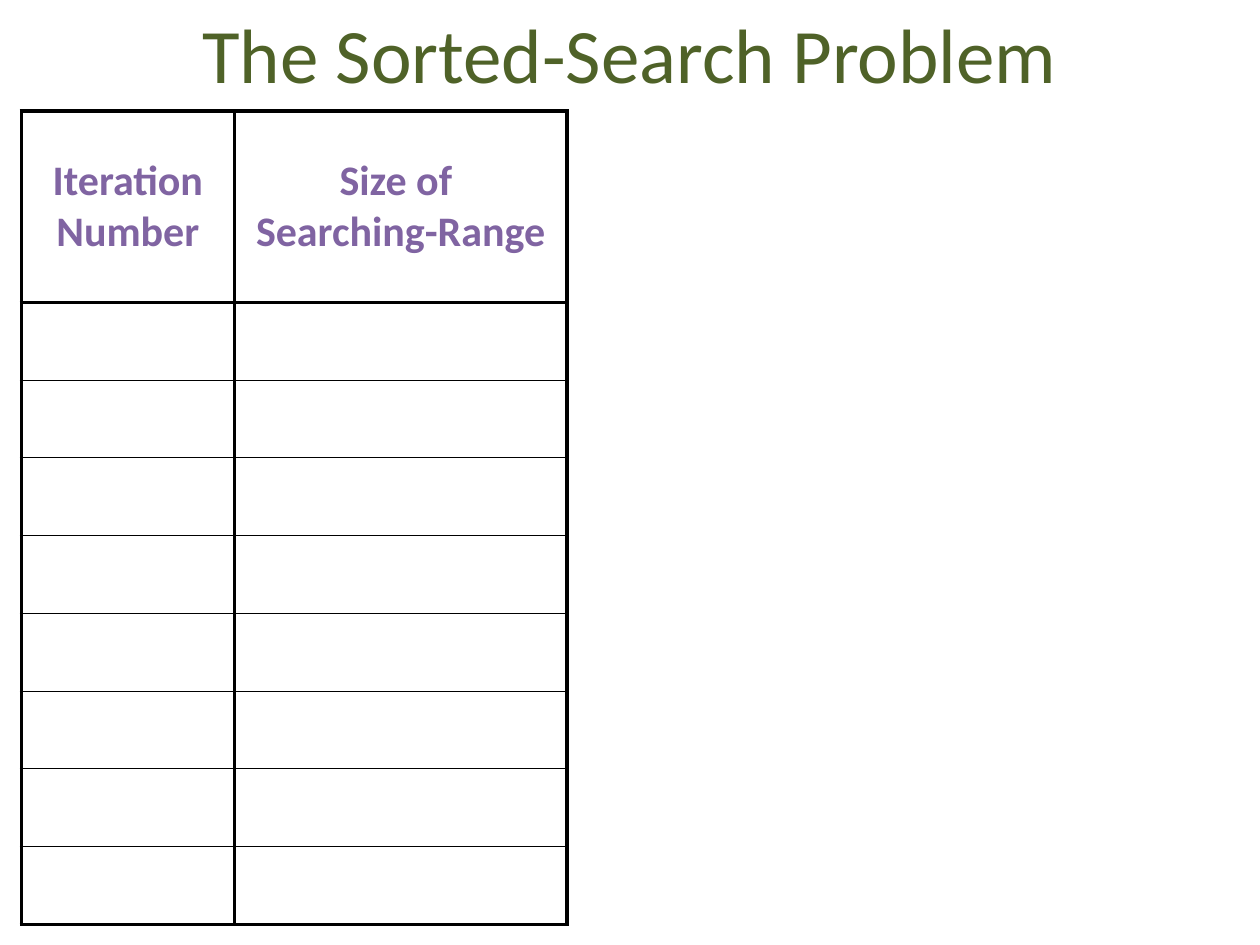
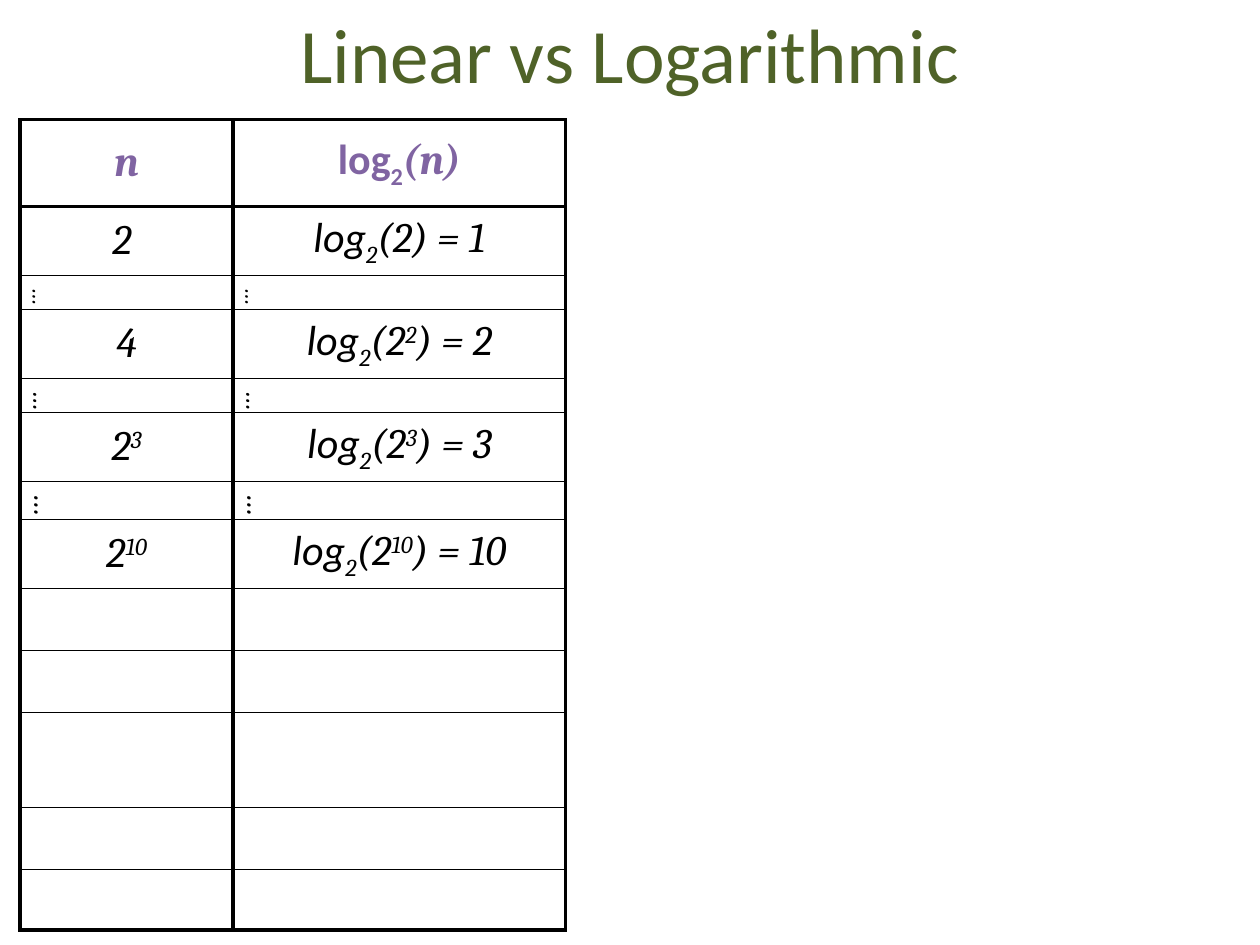
from dataclasses import dataclass

from lxml.etree import SubElement
from pptx import Presentation
from pptx.dml.color import RGBColor
from pptx.enum.text import MSO_ANCHOR, PP_ALIGN
from pptx.oxml.ns import qn
from pptx.util import Inches, Pt


@dataclass(frozen=True)
class Theme:
    title_color: str = "4F6228"
    header_color: str = "8064A2"
    text_color: str = "000000"
    line_color: str = "000000"
    text_font: str = "Calibri"
    math_font: str = "Cambria"
    title_size: float = 44
    cell_size: float = 24
    thick_line: float = 2.25
    thin_line: float = 0.5
    subscript: int = -25
    superscript: int = 30


@dataclass(frozen=True)
class Piece:
    """A stretch of cell text with one typeface and baseline."""
    text: str
    font: str
    italic: bool = True
    baseline: int = 0


@dataclass(frozen=True)
class Entry:
    """The content of one table cell."""
    pieces: tuple
    size: float
    vertical: bool = False


THEME = Theme()
GRID_COLUMNS, GRID_ROWS = 100, 75
TABLE_COLUMNS = (16.9, 26.4)


class Deck:
    def __init__(self, theme):
        self.theme = theme
        self.presentation = Presentation()
        self.presentation.slide_width = Inches(10)
        self.presentation.slide_height = Inches(7.5)
        self.slide = None

    def across(self, columns):
        return round(self.presentation.slide_width * columns / GRID_COLUMNS)

    def down(self, rows):
        return round(self.presentation.slide_height * rows / GRID_ROWS)

    def add_slide(self, title_text):
        layout = self.presentation.slide_layouts.get_by_name("Title Only")
        self.slide = self.presentation.slides.add_slide(layout)
        title = self.slide.shapes.title
        title.left, title.top = self.across(5), self.down(-2.1)
        title.width, title.height = self.across(90), self.down(12.5)
        title.text_frame.vertical_anchor = MSO_ANCHOR.MIDDLE
        title.text_frame.text = title_text
        paragraph = title.text_frame.paragraphs[0]
        paragraph.alignment = PP_ALIGN.CENTER
        self.style(paragraph.font, self.theme.title_size, self.theme.title_color)
        paragraph.font.name = self.theme.text_font

    def style(self, font, size, color, bold=False):
        font.size = Pt(size)
        font.bold = bold
        font.color.rgb = RGBColor.from_string(color)

    def add_table(self, left, top, row_heights, entries):
        """Rows beyond the entries stay empty; the first row is the header."""
        frame = self.slide.shapes.add_table(
            len(row_heights), len(TABLE_COLUMNS), self.across(left), self.down(top),
            self.across(sum(TABLE_COLUMNS)), self.down(sum(row_heights)))
        table = frame.table
        table.first_row = table.horz_banding = False
        for column, width in zip(table.columns, TABLE_COLUMNS):
            column.width = self.across(width)
        for row, height in zip(table.rows, row_heights):
            row.height = self.down(height)

        last = len(row_heights) - 1
        for row_index, row in enumerate(table.rows):
            for cell in row.cells:
                self.draw_borders(cell, row_index <= 1, row_index in (0, last))
                cell.fill.background()
        for row_index, row_entries in enumerate(entries):
            for column_index, entry in enumerate(row_entries):
                self.write_cell(table.cell(row_index, column_index), entry, row_index == 0)

    def draw_borders(self, cell, thick_top, thick_bottom):
        properties = cell._tc.get_or_add_tcPr()
        sides = {"lnL": True, "lnR": True, "lnT": thick_top, "lnB": thick_bottom}
        for side, thick in sides.items():
            width = self.theme.thick_line if thick else self.theme.thin_line
            line = SubElement(properties, qn(f"a:{side}"), w=str(Pt(width)))
            fill = SubElement(line, qn("a:solidFill"))
            SubElement(fill, qn("a:srgbClr"), val=self.theme.line_color)

    def write_cell(self, cell, entry, header):
        cell.vertical_anchor = MSO_ANCHOR.MIDDLE
        if entry.vertical:
            cell._tc.get_or_add_tcPr().set("vert", "vert")
        paragraph = cell.text_frame.paragraphs[0]
        paragraph.alignment = PP_ALIGN.CENTER
        color = self.theme.header_color if header else self.theme.text_color
        self.style(paragraph.font, entry.size, color, header)
        for piece in entry.pieces:
            for index, text in enumerate(piece.text.split("\n")):
                if index:
                    paragraph.add_line_break()
                run = paragraph.add_run()
                run.text = text
                run.font.name = piece.font
                run.font.italic = piece.italic
                if piece.baseline:
                    run.font._element.set("baseline", str(piece.baseline * 1000))


# Cell content
def label(text):
    return Entry((Piece(text, THEME.text_font, italic=False),), THEME.cell_size)


def math(text, exponent=""):
    return Entry(power(text, exponent), THEME.cell_size)


def power(text, exponent):
    base = (Piece(text, THEME.math_font),)
    if not exponent:
        return base
    return base + (Piece(exponent, THEME.math_font, baseline=THEME.superscript),)


def logarithm(exponent, value):
    pieces = (Piece("log", THEME.text_font),
              Piece("2", THEME.math_font, baseline=THEME.subscript),
              *power("(2", exponent),
              Piece(f") = {value}", THEME.math_font))
    return Entry(pieces, THEME.cell_size)


def ellipsis_row(size):
    return [Entry((Piece("…", THEME.math_font),), size, vertical=True)] * 2


def main():
    deck = Deck(THEME)

    # Sorted search: empty table to fill in
    deck.add_slide("The Sorted-Search Problem")
    deck.add_table(1.7, 8.8, [15.2] + [6.17] * 8,
                   [[label("Iteration Number"), label("Size of \nSearching-Range")]])

    # Growth of the logarithm
    log_header = Entry((Piece("log", THEME.text_font, italic=False),
                        Piece("2", THEME.text_font, False, THEME.subscript),
                        Piece("(n)", THEME.math_font)), THEME.cell_size)
    growth_rows = [
        [math("n"), log_header],
        [math("2 "), logarithm("", 1)],
        ellipsis_row(14),
        [math("4"), logarithm("2", 2)],
        ellipsis_row(16),
        [math("2", "3"), logarithm("3", 3)],
        ellipsis_row(18),
        [math("2", "10"), logarithm("10", 10)],
    ]
    row_heights = [6.9, 4.9, 2.7, 4.9, 2.7, 4.9, 3, 4.9, 4.9, 4.9, 7.6, 4.9, 4.8]
    deck.add_slide("Linear vs Logarithmic")
    deck.add_table(1.6, 9.5, row_heights, growth_rows)

    deck.presentation.save("out.pptx")


if __name__ == "__main__":
    main()
